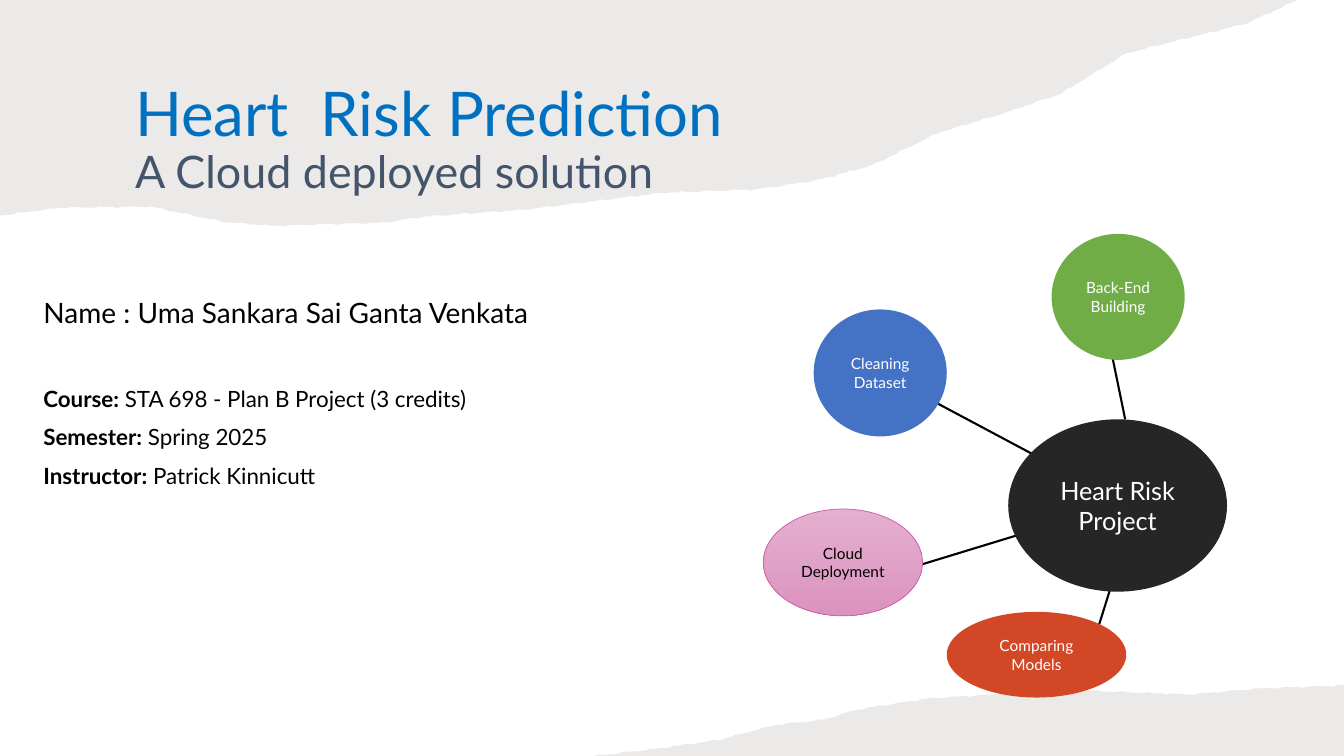
import itertools
import math
import pptx
import pptx.dml.color
import pptx.enum.shapes
import pptx.enum.text
import pptx.oxml
import pptx.oxml.ns
import pptx.util
from dataclasses import dataclass

WIDE, HIGH = 13.33, 7.5

TITLE = [("Heart  Risk Prediction", "title"), ("A Cloud deployed solution", "sub")]
TITLE_BOX = (1.24, 0.67, 10.27, 1.46)

# Each line: bold label, plain text, style, space before
DETAILS = [
    ("", "Name : Uma Sankara Sai Ganta Venkata", "name", 0),
    ("Course:", " STA 698 - Plan B Project (3 credits)", "detail", 42),
    ("Semester:", " Spring 2025", "detail", 10),
    ("Instructor:", " Patrick Kinnicutt", "detail", 10),
]
DETAIL_BOX = (0.33, 2.92, 7.74, 2.47)

# Each bubble: text, box, fill colours, rim, style
HUB = ("Heart Risk Project", (10, 4.16, 2.17, 1.71), ["dark"], None, "hub")
STEPS = [
    ("Cleaning Dataset", (8.07, 3.07, 1.32, 1.26), ["blue"], None, "node"),
    ("Back-End Building", (10.43, 2.32, 1.32, 1.25), ["green"], None, "node"),
    ("Comparing Models", (9.39, 6.07, 1.78, 0.85), ["red"], None, "node"),
    ("Cloud Deployment", (7.57, 5.05, 1.58, 1.06), ["pale", "pink"], "rim", "cloud"),
]
# Each spoke: end at the step, end at the hub, in the order of STEPS
SPOKES = [
    ((9.2, 3.95), (10.55, 4.67)),
    ((10.95, 3.14), (11.16, 4.16)),
    ((10.9, 6.2), (11.1, 5.56)),
    ((9.01, 5.64), (10.09, 5.31)),
]

# Each sheet of paper: its slide corner, then the main bends of its torn edge
SHEETS = [
    ((0, 0), [(12.87, 0), (12.37, 0.23), (11.17, 0.53), (10.52, 0.93), (10, 1.11),
              (9.3, 1.32), (8.65, 1.64), (8.1, 1.79), (7.5, 1.88), (6.6, 1.91),
              (5.2, 2.08), (4.2, 2.15), (3.8, 2.21), (2.7, 2.24), (2.2, 2.2),
              (1.5, 2.05), (0.6, 2.06), (0, 2.14)]),
    ((WIDE, HIGH), [(5.89, 7.5), (6.5, 7.43), (7.13, 7.34), (7.7, 7.19), (8.17, 7.14),
                    (8.5, 7.04), (9.2, 6.93), (9.85, 6.89), (10.2, 6.83), (11, 6.86),
                    (11.8, 6.89), (12.5, 6.83), (WIDE, 6.8)]),
]
NICK = 0.06  # length of one nick along a torn edge
ROUGH = 0.01  # how far the nicks stray from the edge


@dataclass
class Theme:
    colors: dict
    styles: dict
    font: str = "Lato"


THEME = Theme(
    colors=dict(sky="0070C0", slate="44546A", black="000000", white="FFFFFF",
                blue="4472C4", green="70AD47", red="D24726", dark="262626",
                pale="E4B0CF", pink="DC92BF", rim="CB5BA3", paper="82766A"),
    styles=dict(title=(44, "sky"), sub=(32, "slate"), name=(20, "black"),
                detail=(16, "black"), node=(11, "white"), hub=(18, "white"),
                cloud=(11, "black")),
)
Inches, Pt = pptx.util.Inches, pptx.util.Pt
ALIGN = pptx.enum.text.PP_ALIGN
ANCHOR = pptx.enum.text.MSO_ANCHOR
KINDS = pptx.enum.shapes


def tint(name):
    return pptx.dml.color.RGBColor.from_string(THEME.colors[name])


def make_xml(tag, attrs=""):
    return pptx.oxml.parse_xml(f'<a:{tag} {pptx.oxml.ns.nsdecls("a")} {attrs}/>')


def apply(item, values):
    for key, value in values.items():
        setattr(item, key, value)


def place(shape, box):
    apply(shape, dict(zip(("left", "top", "width", "height"), map(Inches, box))))


def set_frame(frame, anchor):
    apply(frame, dict(word_wrap=True, vertical_anchor=anchor,
                      auto_size=pptx.enum.text.MSO_AUTO_SIZE.NONE))


def add_run(para, text, style, bold=False):
    size, color = THEME.styles[style]
    run = para.add_run()
    run.text = text
    apply(run.font, dict(name=THEME.font, size=Pt(size), bold=bold))
    run.font.color.rgb = tint(color)


def paint(fill, names):
    """Fill with one colour, or from top to bottom with two."""
    if len(names) == 1:
        fill.solid()
        fill.fore_color.rgb = tint(names[0])
        return
    fill.gradient()
    fill.gradient_angle = 270
    for stop, name in zip(fill.gradient_stops, names):
        stop.color.rgb = tint(name)


def tear(bends):
    """Join the bends by straight runs, cut into nicks that two waves roughen."""
    edge = [bends[0]]
    for (x1, y1), (x2, y2) in itertools.pairwise(bends):
        count = math.ceil(abs(x2 - x1) / NICK)
        for step in range(1, count + 1):
            x = x1 + (x2 - x1) * step / count
            y = y1 + (y2 - y1) * step / count
            y += ROUGH * (math.sin(23 * x) + math.sin(61 * x)) / 2
            edge.append((x, min(max(y, 0), HIGH)))
    return edge


def add_sheet(slide, corner, bends):
    start, *rest = [tuple(map(Inches, point)) for point in [corner, *tear(bends)]]
    pen = slide.shapes.build_freeform(*start)
    pen.add_line_segments(rest, close=True)
    sheet = pen.convert_to_shape()
    sheet.shadow.inherit = False
    paint(sheet.fill, ["paper"])
    sheet.line.fill.background()
    color = sheet._element.spPr.find(".//" + pptx.oxml.ns.qn("a:srgbClr"))
    color.append(make_xml("alpha", 'val="15000"'))
    slide.shapes._spTree.insert(2, sheet._element)  # behind the text


def add_title(slide):
    title = slide.shapes.title
    place(title, TITLE_BOX)
    set_frame(title.text_frame, ANCHOR.MIDDLE)
    para = title.text_frame.paragraphs[0]
    apply(para, dict(alignment=ALIGN.LEFT, line_spacing=0.9))
    for index, (text, style) in enumerate(TITLE):
        if index:
            para.add_line_break()
        add_run(para, text, style)


def add_details(slide):
    body = slide.placeholders[1]
    place(body, DETAIL_BOX)
    frame = body.text_frame
    set_frame(frame, ANCHOR.TOP)
    for index, (label, text, style, gap) in enumerate(DETAILS):
        para = frame.add_paragraph() if index else frame.paragraphs[0]
        apply(para, dict(alignment=ALIGN.LEFT, line_spacing=0.9, space_before=Pt(gap)))
        props = para._p.get_or_add_pPr()
        for key in ("marL", "indent"):
            props.set(key, "0")
        props.append(make_xml("buNone"))
        if label:
            add_run(para, label, style, bold=True)
        add_run(para, text, style)


def add_spoke(slide, outer, inner):
    ends = map(Inches, outer + inner)
    spoke = slide.shapes.add_connector(KINDS.MSO_CONNECTOR.STRAIGHT, *ends)
    spoke.line.width = Pt(1.5)
    spoke.line.color.rgb = tint("black")
    spoke._element.spPr.append(make_xml("effectLst"))


def add_bubble(slide, text, box, fills, rim, style):
    oval = slide.shapes.add_shape(KINDS.MSO_SHAPE.OVAL, *map(Inches, box))
    oval.shadow.inherit = False
    paint(oval.fill, fills)
    if rim:
        oval.line.color.rgb = tint(rim)
        oval.line.width = Pt(0.5)
    else:
        oval.line.fill.background()
    set_frame(oval.text_frame, ANCHOR.MIDDLE)
    para = oval.text_frame.paragraphs[0]
    para.alignment = ALIGN.CENTER
    add_run(para, text, style)


def main():
    deck = pptx.Presentation()
    apply(deck, dict(slide_width=Inches(WIDE), slide_height=Inches(HIGH)))
    slide = deck.slides.add_slide(deck.slide_layouts[1])
    for sheet in SHEETS:
        add_sheet(slide, *sheet)
    add_title(slide)
    add_details(slide)
    for spoke in SPOKES:
        add_spoke(slide, *spoke)
    for bubble in [*STEPS, HUB]:
        add_bubble(slide, *bubble)
    deck.save("out.pptx")


if __name__ == "__main__":
    main()
